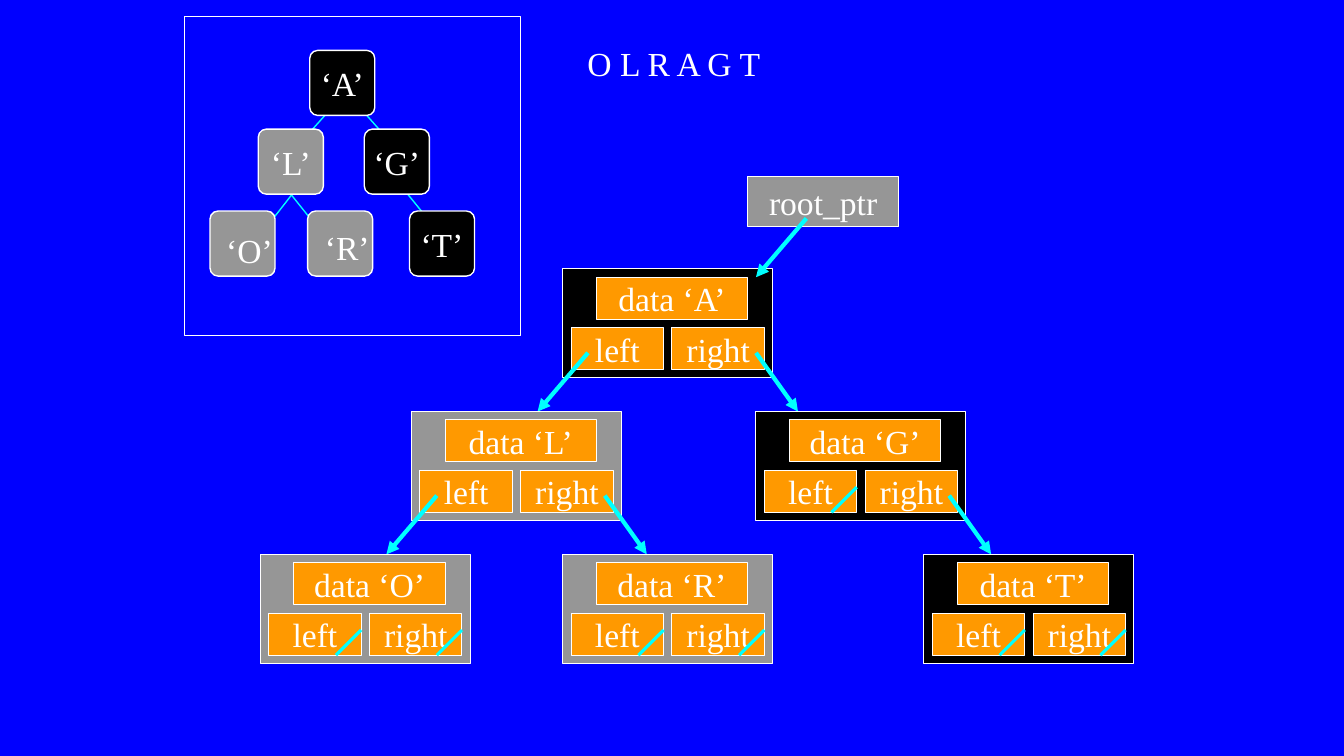
from lxml import etree
from pptx import Presentation
from pptx import util as u
from pptx.dml.color import RGBColor
from pptx.enum import shapes, text
from pptx.oxml.ns import qn

BLUE = RGBColor(0x00, 0x00, 0xFF)
WHITE = RGBColor(0xFF, 0xFF, 0xFF)
BLACK = RGBColor(0x00, 0x00, 0x00)
GRAY = RGBColor(0x96, 0x96, 0x96)
ORANGE = RGBColor(0xFF, 0x99, 0x00)
CYAN = RGBColor(0x00, 0xFF, 0xFF)

PX = 9525  # EMU per px, 96 px to the inch
RECT = shapes.MSO_SHAPE.RECTANGLE
ROUND = shapes.MSO_SHAPE.ROUNDED_RECTANGLE

NODE = 62
NODES = [  # letter, left, top, fill, label position if set apart from the node
    ("R", 293, 201, GRAY, (300, 211, 64, 48)),
    ("O", 200, 201, GRAY, (206, 214, 64, 48)),
    ("G", 347, 123, BLACK, None),
    ("A", 295, 48, BLACK, None),
    ("L", 246, 123, GRAY, None),
    ("T", 390, 201, BLACK, None),
]
EDGES = [
    (330, 88, 390, 156),
    (347, 68, 287, 135),
    (381, 176, 425, 230),
    (265, 170, 309, 225),
    (290, 170, 247, 225),
]
RECORDS = [  # letter, left, top, fill, has left child, has right child
    ("A", 536, 256, BLACK, True, True),
    ("L", 392, 392, GRAY, True, True),
    ("O", 248, 528, GRAY, False, False),
    ("G", 720, 392, BLACK, False, True),
    ("T", 880, 528, BLACK, False, False),
    ("R", 536, 528, GRAY, False, False),
]


def write(tf, words, *, size=24, font="Times New Roman", color=WHITE,
          align=None, anchor=None, wrap=False):
    tf.word_wrap = wrap
    if anchor is not None:
        tf.vertical_anchor = anchor
    p = tf.paragraphs[0]
    if align is not None:
        p.alignment = align
    r = p.add_run()
    r.text = words
    r.font.size = u.Pt(size)
    r.font.name = font
    r.font.color.rgb = color


class Diagram:
    def __init__(self, s):
        self.s = s
        s.background.fill.solid()
        s.background.fill.fore_color.rgb = BLUE

    def box(self, x, y, w, h, fill=None, words=None, kind=RECT, weight=0.75):
        sp = self.s.shapes.add_shape(kind, x * PX, y * PX, w * PX, h * PX)
        sp.shadow.inherit = False
        if kind == ROUND:
            sp.adjustments[0] = 0.125
        if fill is None:
            sp.fill.background()
        else:
            sp.fill.solid()
            sp.fill.fore_color.rgb = fill
        sp.line.color.rgb = WHITE
        sp.line.width = u.Pt(weight)
        if words:
            write(sp.text_frame, words, align=text.PP_ALIGN.CENTER,
                  anchor=text.MSO_ANCHOR.MIDDLE)

    def label(self, x, y, w, h, words):
        sp = self.s.shapes.add_textbox(x * PX, y * PX, w * PX, h * PX)
        write(sp.text_frame, words)
        sp.text_frame.auto_size = text.MSO_AUTO_SIZE.SHAPE_TO_FIT_TEXT

    def line(self, x1, y1, x2, y2, weight, arrow=False):
        c = self.s.shapes.add_connector(
            shapes.MSO_CONNECTOR.STRAIGHT, x1 * PX, y1 * PX, x2 * PX, y2 * PX)
        c.line.color.rgb = CYAN
        c.line.width = u.Pt(weight)
        spPr = c._element.spPr
        if arrow:
            etree.SubElement(spPr.find(qn("a:ln")), qn("a:tailEnd"), type="triangle")
        etree.SubElement(spPr, qn("a:effectLst"))

    def pointer(self, x, y, dx):
        """Arrow from a pointer field down to the record it refers to."""
        self.line(x, y, x + dx, y + 56, 3, arrow=True)

    def null(self, x, y):
        """Slash across the lower right corner of an empty pointer field."""
        self.line(x, y, x - 24, y + 24, 2.25)

    def record(self, letter, x, y, fill, has_left, has_right):
        self.box(x, y, 200, 104, fill)
        self.box(x + 32, y + 8, 144, 40, ORANGE, f"data ‘{letter}’")
        self.box(x + 8, y + 56, 88, 40, ORANGE, "left")
        self.box(x + 104, y + 56, 88, 40, ORANGE, "right")
        for has_child, start, dx, edge in ((has_left, 24, -48, 96),
                                           (has_right, 184, 40, 192)):
            if has_child:
                self.pointer(x + start, y + 80, dx)
            else:
                self.null(x + edge, y + 72)


def main():
    prs = Presentation()
    prs.slide_width, prs.slide_height = 1280 * PX, 720 * PX
    d = Diagram(prs.slides.add_slide(prs.slide_layouts[6]))

    d.box(176, 16, 320, 304)
    for edge in EDGES:
        d.line(*edge, 1)
    for letter, x, y, fill, place in NODES:
        name = f"‘{letter}’"
        d.box(x, y, NODE, NODE, fill, None if place else name, ROUND, 1)
        if place:
            d.label(*place, name)

    for record in RECORDS:
        d.record(*record)
    d.box(712, 168, 144, 48, GRAY, "root_ptr")
    d.pointer(768, 208, -48)
    d.label(550, 36, 190, 48, "O L R A G T")

    prs.save("out.pptx")


if __name__ == "__main__":
    main()
